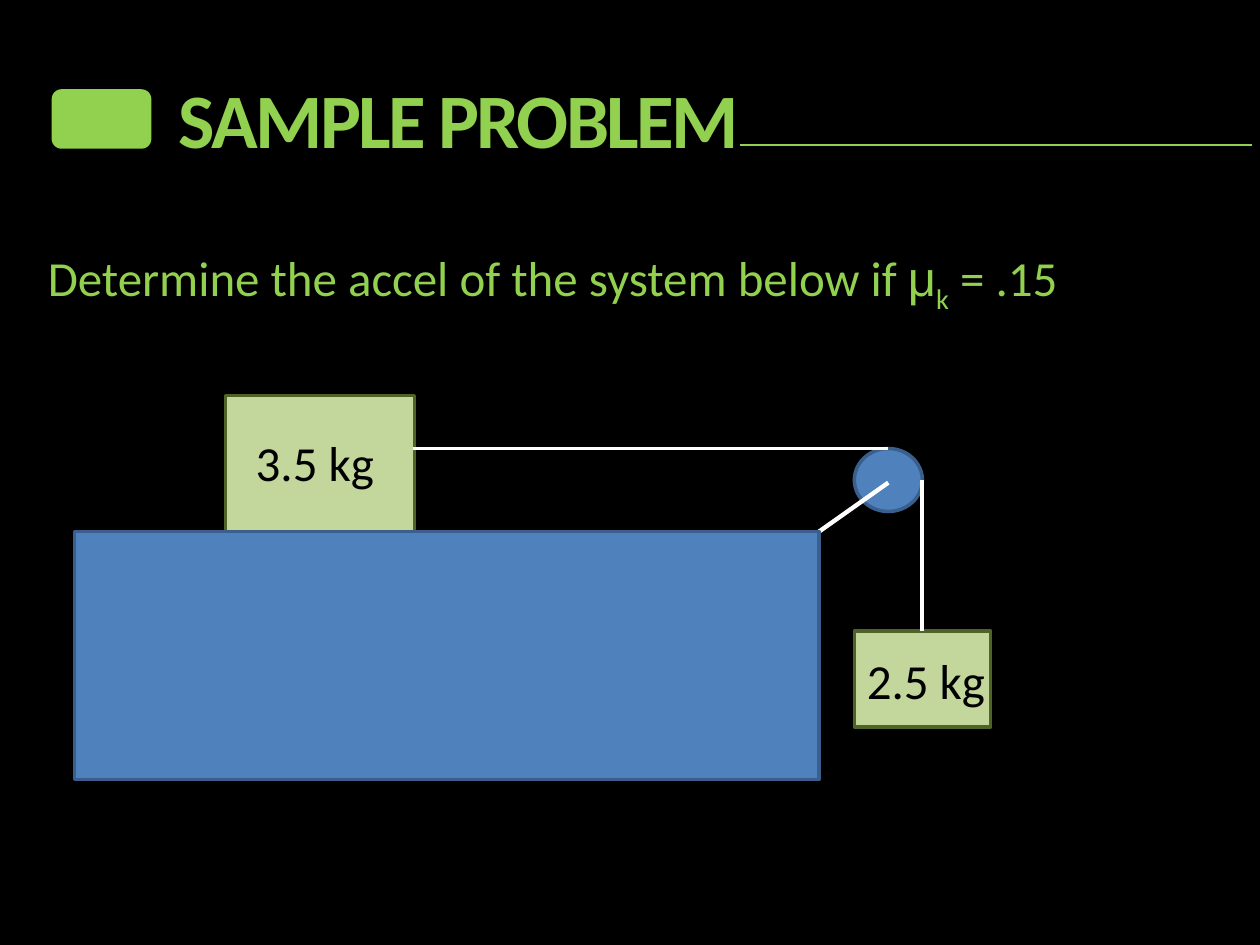
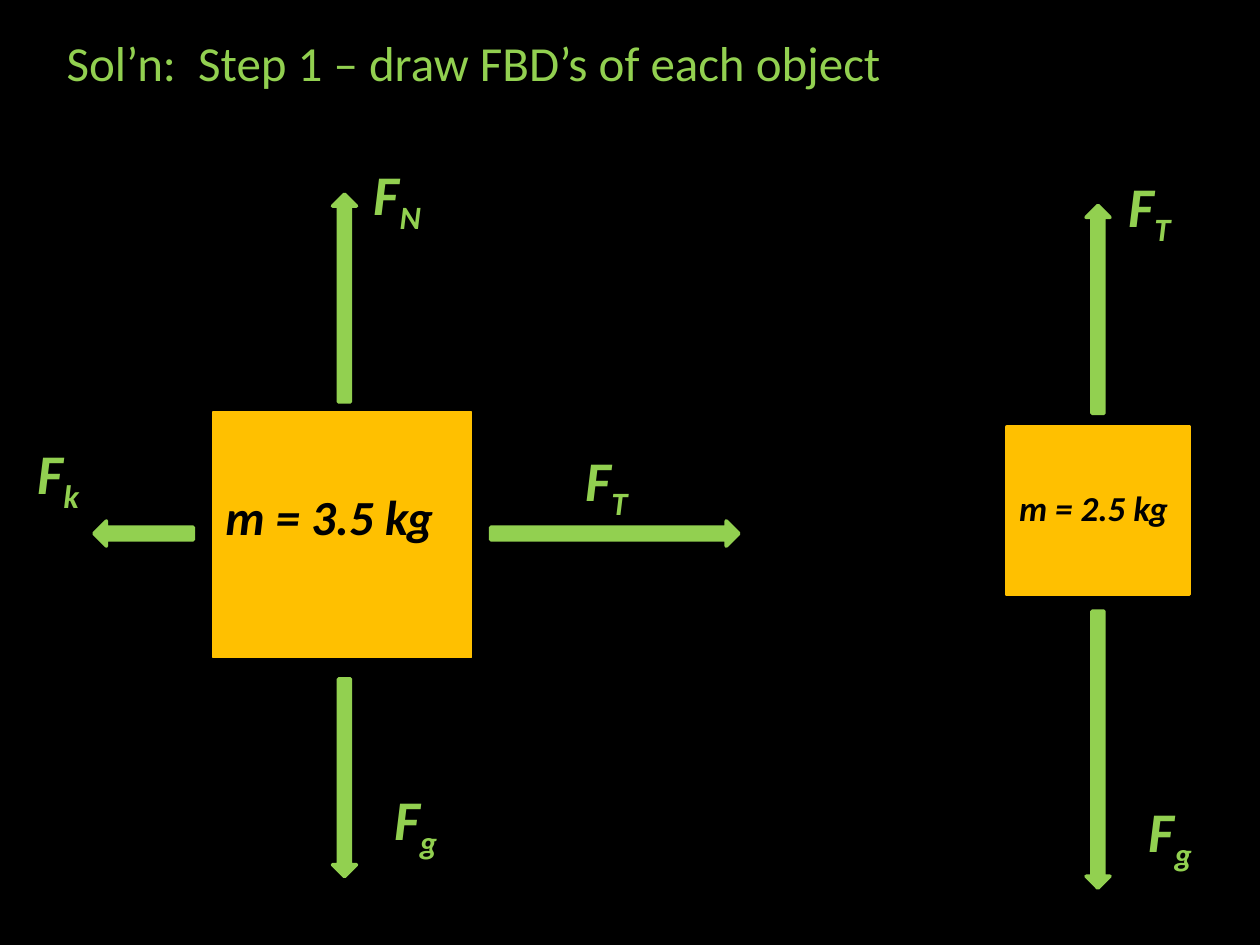
from pptx import Presentation
from pptx.dml.color import RGBColor
from pptx.enum.shapes import MSO_CONNECTOR, MSO_SHAPE
from pptx.enum.text import MSO_ANCHOR, MSO_AUTO_SIZE, PP_ALIGN
from pptx.oxml.ns import qn
from pptx.util import Pt

RECT, ROUNDED, OVAL = MSO_SHAPE.RECTANGLE, MSO_SHAPE.ROUNDED_RECTANGLE, MSO_SHAPE.OVAL
UP, DOWN = MSO_SHAPE.UP_ARROW, MSO_SHAPE.DOWN_ARROW
LEFT, RIGHT = MSO_SHAPE.LEFT_ARROW, MSO_SHAPE.RIGHT_ARROW
STRAIGHT = MSO_CONNECTOR.STRAIGHT
TOP, ALIGN_LEFT, FIT = MSO_ANCHOR.TOP, PP_ALIGN.LEFT, MSO_AUTO_SIZE.SHAPE_TO_FIT_TEXT
BLACK, WHITE, GREEN, GOLD = "000000", "FFFFFF", "92D050", "FFC000"
BLUE, NAVY, SAGE, OLIVE = "4F81BD", "3A5F8C", "C3D69B", "4F6228"
STRONG = {"bold": True, "italic": True}


def rgb(value):
    return RGBColor.from_string(value)


class Deck:
    """Holds the shared style and the current slide; all lengths are points."""

    def __init__(self):
        self.prs = Presentation()
        self.prs.slide_width, self.prs.slide_height = Pt(720), Pt(540)
        self.s = None

    def slide(self):
        self.s = self.prs.slides.add_slide(self.prs.slide_layouts[6])
        fill = self.s.background.fill
        fill.solid()
        fill.fore_color.rgb = rgb(BLACK)

    def shape(self, kind, box, fill, line=None, width=2):
        sp = self.s.shapes.add_shape(kind, *map(Pt, box))
        sp.shadow.inherit = False
        sp.fill.solid()
        sp.fill.fore_color.rgb = rgb(fill)
        if line:
            sp.line.color.rgb = rgb(line)
            sp.line.width = Pt(width)
        else:
            sp.line.fill.background()
        return sp

    def line(self, start, end, color, width):
        c = self.s.shapes.add_connector(STRAIGHT, *map(Pt, start + end))
        c.line.color.rgb = rgb(color)
        c.line.width = Pt(width)
        c._element.spPr.append(c._element.makeelement(qn("a:effectLst"), {}))

    def fill_text(self, tf, runs, size, color, inset=(7.2, 3.6), spacing=None, **style):
        frame = {"word_wrap": True, "vertical_anchor": TOP,
                 "margin_left": Pt(inset[0]), "margin_top": Pt(inset[1])}
        for name, value in frame.items():
            setattr(tf, name, value)
        p = tf.paragraphs[0]
        p.alignment = ALIGN_LEFT
        for text, font, baseline in runs:
            r = p.add_run()
            r.text = text
            for name, value in {"name": font, "size": Pt(size), **style}.items():
                setattr(r.font, name, value)
            r.font.color.rgb = rgb(color)
            rPr = r._r.get_or_add_rPr()
            if baseline:
                rPr.set("baseline", str(baseline * 1000))
            if spacing:
                rPr.set("spc", str(int(spacing * 100)))

    def text(self, box, runs, size=28, color=GREEN, **style):
        if isinstance(runs, str):
            runs = [(runs, "Calibri", 0)]
        tf = self.s.shapes.add_textbox(*map(Pt, box)).text_frame
        self.fill_text(tf, runs, size, color, **style)
        tf.auto_size = FIT

    def title(self, text):
        self.text((52.6, 37.4, 663, 60.5), text, 44, inset=(49.4, 3.6), spacing=-1.5, bold=True)
        self.shape(ROUNDED, (29.5, 51, 57, 34), GREEN)
        self.line((422.6, 82.8), (715.7, 82.8), GREEN, 0.75)

    def force(self, kind, arrow, subscript, label):
        self.shape(kind, arrow, GREEN, GREEN)
        runs = [("F", "Calibri", 0), (subscript, "Calibri", -25)]
        self.text((*label, 100, 46), runs, 32, **STRONG)


deck = Deck()

deck.slide()
deck.title("SAMPLE PROBLEM")
deck.text((20.2, 138.2, 677.5, 41), [
    ("Determine the accel of the system below if ", "Calibri", 0),
    ("μ", "Arial", 0), ("k", "Calibri", -25), (" = .15", "Calibri", 0)])
deck.shape(RECT, (128.9, 226, 108, 77.8), SAGE, OLIVE)
deck.shape(RECT, (488.2, 360.7, 77.8, 54.7), SAGE, OLIVE)
deck.shape(OVAL, (488.2, 256.3, 38.9, 36), BLUE, NAVY)
deck.line((507.6, 275.8), (468, 303.8), WHITE, 2.5)
deck.line((527, 274.3), (527, 360.7), WHITE, 2)
deck.text((139, 243.4, 101.5, 41), "3.5 kg", color=BLACK)
deck.text((488.2, 367.9, 101.5, 41), "2.5 kg", color=BLACK)
deck.line((236.2, 256.3), (507.6, 256.3), WHITE, 2)
deck.shape(RECT, (42.5, 303.8, 425.5, 141.8), BLUE, NAVY)

deck.slide()
deck.text((31, 15.1, 657.4, 41), "Sol’n:  Step 1 – draw FBD’s of each object")
block = deck.shape(RECT, (121.7, 235.4, 147.6, 140.4), GOLD, GOLD, 0.75)
deck.fill_text(block.text_frame, [("m = 3.5 kg", "Calibri", 0)], 28, BLACK,
               inset=(7.2, 42.7), **STRONG)
FORCES = [
    (UP, (190, 110.9, 13.7, 118.8), "N", (206.6, 87.8)),
    (DOWN, (190, 388, 13.7, 113), "g", (218.2, 445)),
    (RIGHT, (280.4, 297.7, 141.8, 14.4), "T", (327.6, 251.3)),
    (LEFT, (53.6, 297.7, 56.9, 14.4), "k", (14.4, 247)),
    (UP, (620.6, 117.4, 13.7, 118.8), "T", (637.9, 94.3)),
    (DOWN, (620.6, 349.2, 13.7, 158.4), "g", (649.4, 451.4)),
]
for force in FORCES:
    deck.force(*force)
deck.shape(RECT, (575.3, 244, 104.4, 95.8), GOLD, GOLD)
deck.text((575.3, 274.3, 104.4, 31.7), "m = 2.5 kg", 20, BLACK, **STRONG)

deck.prs.save("out.pptx")
